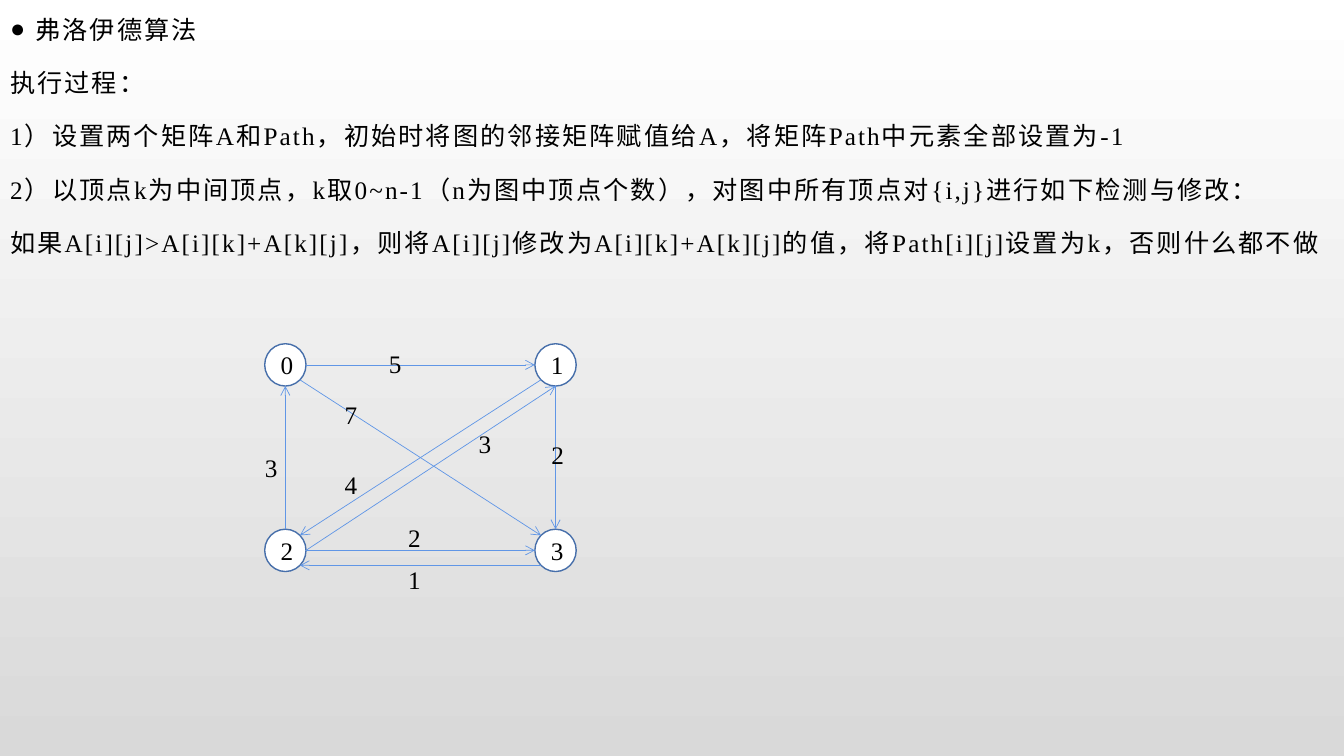
import math
from dataclasses import dataclass

import pptx
import pptx.dml.color
import pptx.enum.dml
import pptx.enum.shapes
import pptx.enum.text
import pptx.oxml.ns
import pptx.util
from lxml import etree

Inches = pptx.util.Inches
Pt = pptx.util.Pt
RGBColor = pptx.dml.color.RGBColor
MSO_ANCHOR = pptx.enum.text.MSO_ANCHOR
MSO_AUTO_SIZE = pptx.enum.text.MSO_AUTO_SIZE
PP_ALIGN = pptx.enum.text.PP_ALIGN
qn = pptx.oxml.ns.qn


@dataclass(frozen=True)
class Theme:
    font: str = "Times New Roman"
    size: int = 18
    letter_spacing: float = 1.5
    ink: str = "000000"
    node_fill: str = "FFFFFF"
    node_line: str = "476FAA"
    node_line_width: float = 1
    edge: str = "6096E6"
    edge_width: float = 0.5
    backdrop: tuple = ("FFFFFF", "D9D9D9")


THEME = Theme()

HEADING = "弗洛伊德算法"
STEPS = [
    "执行过程：",
    "1）设置两个矩阵A和Path，初始时将图的邻接矩阵赋值给A，将矩阵Path中元素全部设置为-1",
    "2）以顶点k为中间顶点，k取0~n-1（n为图中顶点个数），对图中所有顶点对{i,j}进行如下检测与修改：",
    "如果A[i][j]>A[i][k]+A[k][j]，则将A[i][j]修改为A[i][k]+A[k][j]的值，将Path[i][j]设置为k，否则什么都不做",
]

# Graph: vertex centres, and edges as (from, angle, to, angle, weight, label place).
# Angles are in degrees, clockwise from the right-hand side.
NODE_WIDTH, NODE_HEIGHT = 0.41, 0.42
COLUMNS, ROWS = (2.83, 5.51), (3.62, 5.46)
NODES = [(x, y) for y in ROWS for x in COLUMNS]
RIGHT, BOTTOM_RIGHT, BOTTOM, BOTTOM_LEFT = 0, 45, 90, 135
LEFT, TOP_LEFT, TOP, TOP_RIGHT = 180, 225, 270, 315
EDGES = [
    (0, RIGHT, 1, LEFT, "5", (3.76, 3.41)),
    (2, TOP, 0, BOTTOM, "3", (2.53, 4.44)),
    (0, BOTTOM_RIGHT, 3, TOP_LEFT, "7", (3.32, 3.91)),
    (1, BOTTOM_LEFT, 2, TOP_RIGHT, "4", (3.32, 4.61)),
    (2, RIGHT, 1, BOTTOM, "3", (4.65, 4.2)),
    (1, BOTTOM, 3, TOP, "2", (5.37, 4.31)),
    (2, RIGHT, 3, LEFT, "2", (3.95, 5.13)),
    (3, BOTTOM_LEFT, 2, BOTTOM_RIGHT, "1", (3.95, 5.55)),
]


def set_all(target, values):
    for name, value in values.items():
        setattr(target, name, value)


def write(para, text):
    span = para.add_run()
    span.text = text
    set_all(span.font, {"name": THEME.font, "size": Pt(THEME.size)})
    span.font.color.rgb = RGBColor.from_string(THEME.ink)
    return span


def set_bullet(para, symbol=None):
    properties = para._p.get_or_add_pPr()
    indent = Inches(0.25) if symbol else 0
    properties.set("marL", str(indent))
    properties.set("indent", str(-indent))
    if symbol:
        etree.SubElement(properties, qn("a:buChar")).set("char", symbol)
    else:
        etree.SubElement(properties, qn("a:buNone"))


def paint_background(page):
    fill = page.background.fill
    fill.gradient()
    fill.gradient_angle = 270
    for stop, color in zip(fill.gradient_stops, THEME.backdrop):
        stop.color.rgb = RGBColor.from_string(color)


def fill_body(page, deck):
    body = page.placeholders[1]
    set_all(body, {"left": 0, "top": 0,
                   "width": deck.slide_width, "height": deck.slide_height})
    frame = body.text_frame
    set_all(frame, {"word_wrap": True, "auto_size": MSO_AUTO_SIZE.NONE,
                    "vertical_anchor": MSO_ANCHOR.TOP,
                    "margin_left": Inches(0.1), "margin_right": Inches(0.1),
                    "margin_top": Inches(0.05), "margin_bottom": Inches(0.05)})
    for index, text in enumerate([HEADING, *STEPS]):
        para = frame.add_paragraph() if index else frame.paragraphs[0]
        set_all(para, {"line_spacing": 1.3, "space_before": Pt(0),
                       "space_after": Pt(10), "alignment": PP_ALIGN.LEFT})
        set_bullet(para, None if index else "●")
        span = write(para, text)
        span._r.get_or_add_rPr().set("spc", str(round(THEME.letter_spacing * 100)))


def add_node(page, name, centre):
    x, y = centre
    node = page.shapes.add_shape(
        pptx.enum.shapes.MSO_SHAPE.OVAL,
        Inches(x - NODE_WIDTH / 2), Inches(y - NODE_HEIGHT / 2),
        Inches(NODE_WIDTH), Inches(NODE_HEIGHT))
    node.shadow.inherit = False
    node.fill.solid()
    node.fill.fore_color.rgb = RGBColor.from_string(THEME.node_fill)
    node.line.color.rgb = RGBColor.from_string(THEME.node_line)
    node.line.width = Pt(THEME.node_line_width)
    node.text_frame.vertical_anchor = MSO_ANCHOR.MIDDLE
    para = node.text_frame.paragraphs[0]
    para.alignment = PP_ALIGN.CENTER
    write(para, name)


def rim_point(node, angle):
    x, y = NODES[node]
    turn = math.radians(angle)
    return (Inches(x + NODE_WIDTH / 2 * math.cos(turn)),
            Inches(y + NODE_HEIGHT / 2 * math.sin(turn)))


def add_edge(page, start, end):
    edge = page.shapes.add_connector(
        pptx.enum.shapes.MSO_CONNECTOR.STRAIGHT, *start, *end)
    edge.line.color.rgb = RGBColor.from_string(THEME.edge)
    edge.line.width = Pt(THEME.edge_width)
    etree.SubElement(edge.line._get_or_add_ln(), qn("a:tailEnd")).set("type", "arrow")
    etree.SubElement(edge._element.spPr, qn("a:effectLst"))


def add_weight(page, text, place):
    left, top = place
    label = page.shapes.add_textbox(
        Inches(left), Inches(top), Inches(0.44), Inches(0.4))
    set_all(label.text_frame, {"word_wrap": True,
                               "auto_size": MSO_AUTO_SIZE.SHAPE_TO_FIT_TEXT})
    write(label.text_frame.paragraphs[0], text)


def main():
    deck = pptx.Presentation()
    set_all(deck, {"slide_width": Inches(13.33), "slide_height": Inches(7.5)})
    page = deck.slides.add_slide(deck.slide_layouts[1])
    title = page.shapes.title._element
    title.getparent().remove(title)

    # Background and explanation
    paint_background(page)
    fill_body(page, deck)

    # Weighted directed graph
    for index, centre in enumerate(NODES):
        add_node(page, str(index), centre)
    for origin, leave, target, arrive, _, _ in EDGES:
        add_edge(page, rim_point(origin, leave), rim_point(target, arrive))
    for *_, weight, place in EDGES:
        add_weight(page, weight, place)

    deck.save("out.pptx")


if __name__ == "__main__":
    main()
